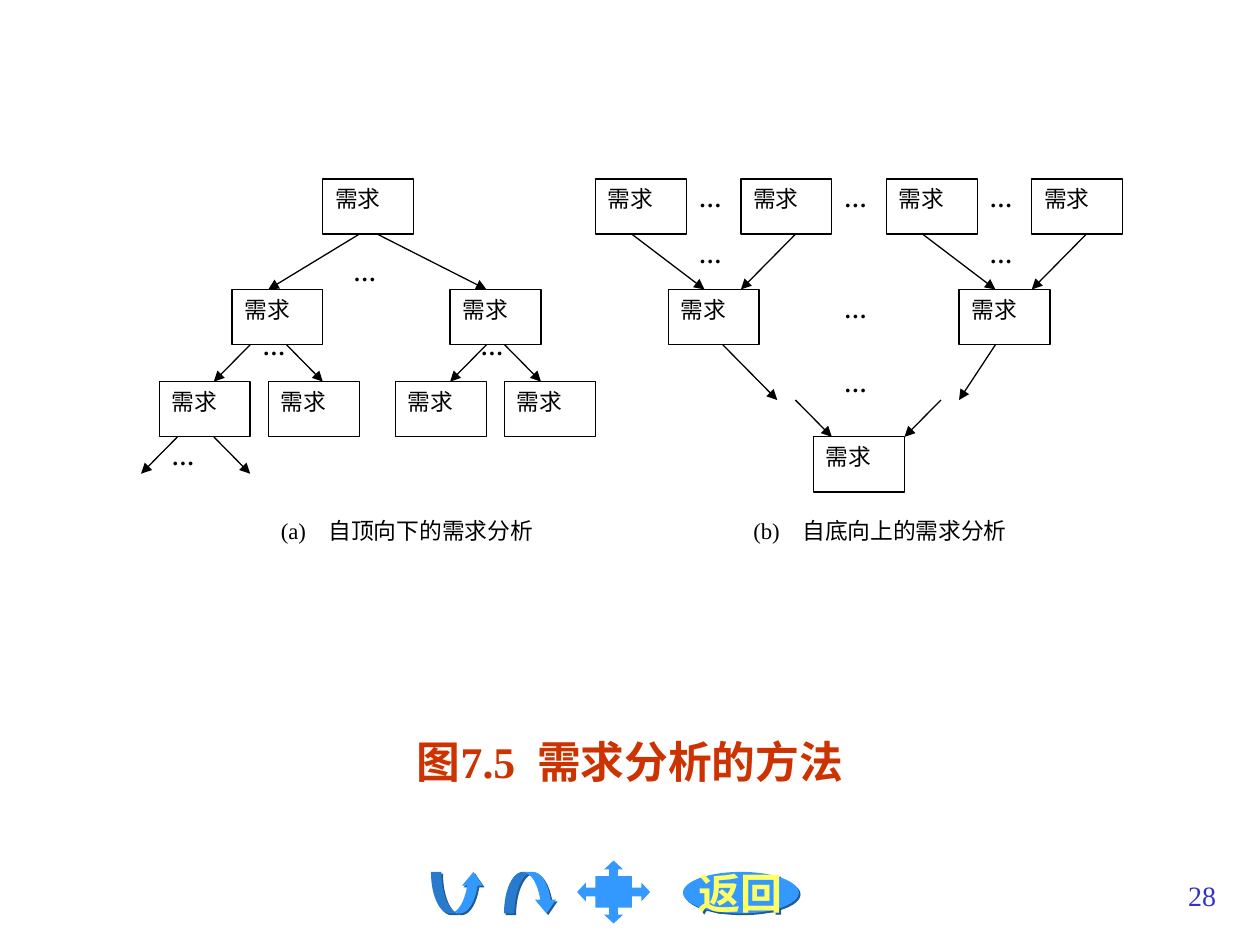
from dataclasses import dataclass

from lxml.etree import SubElement
from pptx import Presentation
from pptx.dml.color import RGBColor
from pptx.enum.shapes import MSO_CONNECTOR, MSO_SHAPE
from pptx.enum.text import MSO_ANCHOR, PP_ALIGN
from pptx.oxml.ns import qn
from pptx.util import Inches, Pt

FONT = "Times New Roman"
BLACK = RGBColor(0x00, 0x00, 0x00)
WHITE = RGBColor(0xFF, 0xFF, 0xFF)
RED = RGBColor(0xCC, 0x33, 0x00)
SKY = RGBColor(0x33, 0x99, 0xFF)
NAVY = RGBColor(0x1E, 0x5B, 0x98)
YELLOW = RGBColor(0xFF, 0xFF, 0x66)
INDIGO = RGBColor(0x33, 0x33, 0xCC)

GRID_LEFT, GRID_TOP = 1.12, 1.42
COLUMN, ROW = 7.79 / 54, 2.34 / 16


@dataclass(frozen=True)
class Cell:
    column: int
    row: int
    text: str
    columns: int
    bold: bool = False
    outlined: bool = False


@dataclass(frozen=True)
class Arrow:
    start_column: int
    start_row: int
    end_column: int
    end_row: int


@dataclass(frozen=True)
class Button:
    preset: MSO_SHAPE
    left: float
    top: float
    width: float
    height: float
    adjustments: tuple[float, ...] = ()
    shadowed: bool = True
    text: str = ""


CAPTIONS = [
    Cell(7, 18, "(a)\u3000自顶向下的需求分析".replace("\u3000", "　"), 17),
    Cell(33, 18, "(b)　自底向上的需求分析", 16),
]
DOTS = [
    Cell(column, row, "…", 3, bold=True)
    for column, row in [
        (11, 4), (6, 8), (18, 8), (1, 14),
        (30, 0), (38, 0), (46, 0), (30, 3), (46, 3), (38, 6), (38, 10),
    ]
]
REQUIREMENTS = [
    Cell(column, row, "需求", 5, outlined=True)
    for row, columns in [
        (0, (10, 25, 33, 41, 49)),
        (6, (5, 17, 29, 45)),
        (11, (1, 7, 14, 20)),
        (14, (37,)),
    ]
    for column in columns
]
ARROWS = [
    Arrow(12, 3, 7, 6), Arrow(13, 3, 19, 6),
    Arrow(6, 9, 4, 11), Arrow(8, 9, 10, 11),
    Arrow(19, 9, 17, 11), Arrow(20, 9, 22, 11),
    Arrow(2, 14, 0, 16), Arrow(4, 14, 6, 16),
    Arrow(27, 3, 31, 6), Arrow(36, 3, 33, 6),
    Arrow(43, 3, 47, 6), Arrow(52, 3, 49, 6),
    Arrow(32, 9, 35, 12), Arrow(47, 9, 45, 12),
    Arrow(36, 12, 38, 14), Arrow(44, 12, 42, 14),
]
BUTTONS = [
    Button(MSO_SHAPE.CURVED_UP_ARROW, 3.42, 6.92, 0.42, 0.33, (0.25, 0.5, 0.33)),
    Button(MSO_SHAPE.CURVED_DOWN_ARROW, 4, 6.92, 0.42, 0.33, (0.25, 0.5, 0.33)),
    Button(MSO_SHAPE.OVAL, 5.42, 6.92, 0.92, 0.33, text="返回"),
    Button(MSO_SHAPE.QUAD_ARROW_CALLOUT, 4.58, 6.83, 0.58, 0.5,
           (0.14, 0.15, 0.14, 0.5), shadowed=False),
]


def grid_x(column: int) -> int:
    return Inches(GRID_LEFT + column * COLUMN)


def grid_y(row: int) -> int:
    return Inches(GRID_TOP + row * ROW)


def write(shape, text: str, size: float, color: RGBColor, alignment: PP_ALIGN,
          bold: bool = False, wrap: bool = True):
    shape.text_frame.word_wrap = wrap
    paragraph = shape.text_frame.paragraphs[0]
    paragraph.text = text
    paragraph.alignment = alignment
    paragraph.font.name = FONT
    paragraph.font.size = Pt(size)
    paragraph.font.bold = bold
    paragraph.font.color.rgb = color
    return paragraph


def draw_cell(slide, cell: Cell) -> None:
    shape = slide.shapes.add_shape(
        MSO_SHAPE.RECTANGLE, grid_x(cell.column), grid_y(cell.row),
        Inches(cell.columns * COLUMN), Inches(3 * ROW))
    shape.shadow.inherit = False
    shape.fill.solid()
    shape.fill.fore_color.rgb = WHITE
    if cell.outlined:
        shape.line.color.rgb = BLACK
        shape.line.width = Pt(0.75)
    else:
        shape.line.fill.background()
    shape.text_frame.vertical_anchor = MSO_ANCHOR.TOP
    write(shape, cell.text, 13, BLACK, PP_ALIGN.JUSTIFY, cell.bold)


def draw_arrow(slide, arrow: Arrow) -> None:
    connector = slide.shapes.add_connector(
        MSO_CONNECTOR.STRAIGHT, grid_x(arrow.start_column), grid_y(arrow.start_row),
        grid_x(arrow.end_column), grid_y(arrow.end_row))
    connector.line.color.rgb = BLACK
    connector.line.width = Pt(0.75)
    SubElement(connector.line._get_or_add_ln(), qn("a:tailEnd"), type="triangle")
    SubElement(connector._element.spPr, qn("a:effectLst"))


def draw_button(slide, button: Button) -> None:
    shape = slide.shapes.add_shape(
        button.preset, Inches(button.left), Inches(button.top),
        Inches(button.width), Inches(button.height))
    for index, value in enumerate(button.adjustments):
        shape.adjustments[index] = value
    shape.fill.solid()
    shape.fill.fore_color.rgb = SKY
    shape.line.fill.background()
    shape.shadow.inherit = False
    if button.shadowed:
        effects = shape._element.spPr.find(qn("a:effectLst"))
        shadow = SubElement(effects, qn("a:outerShdw"), dist=str(Pt(1.4)),
                            dir="2700000", algn="ctr", rotWithShape="0")
        SubElement(shadow, qn("a:srgbClr"), val=str(NAVY))
    if button.text:
        shape.text_frame.vertical_anchor = MSO_ANCHOR.MIDDLE
        write(shape, button.text, 24, YELLOW, PP_ALIGN.CENTER, bold=True, wrap=False)


def main() -> None:
    """Build the slide on requirement analysis methods."""
    presentation = Presentation()
    presentation.slide_width, presentation.slide_height = Inches(10), Inches(7.5)
    slide = presentation.slides.add_slide(presentation.slide_layouts[6])

    for button in BUTTONS:
        draw_button(slide, button)
    title = slide.shapes.add_textbox(Inches(0.75), Inches(5.83), Inches(8.5), Inches(0.5))
    paragraph = write(title, "图7.5  需求分析的方法", 25, RED, PP_ALIGN.CENTER, bold=True)
    paragraph.line_spacing = 0.9
    for cell in CAPTIONS + DOTS + REQUIREMENTS:
        draw_cell(slide, cell)
    for arrow in ARROWS:
        draw_arrow(slide, arrow)
    number = slide.shapes.add_textbox(Inches(7.67), Inches(6.92), Inches(2.08), Inches(0.5))
    write(number, "28", 16, INDIGO, PP_ALIGN.RIGHT)

    presentation.save("out.pptx")


if __name__ == "__main__":
    main()
